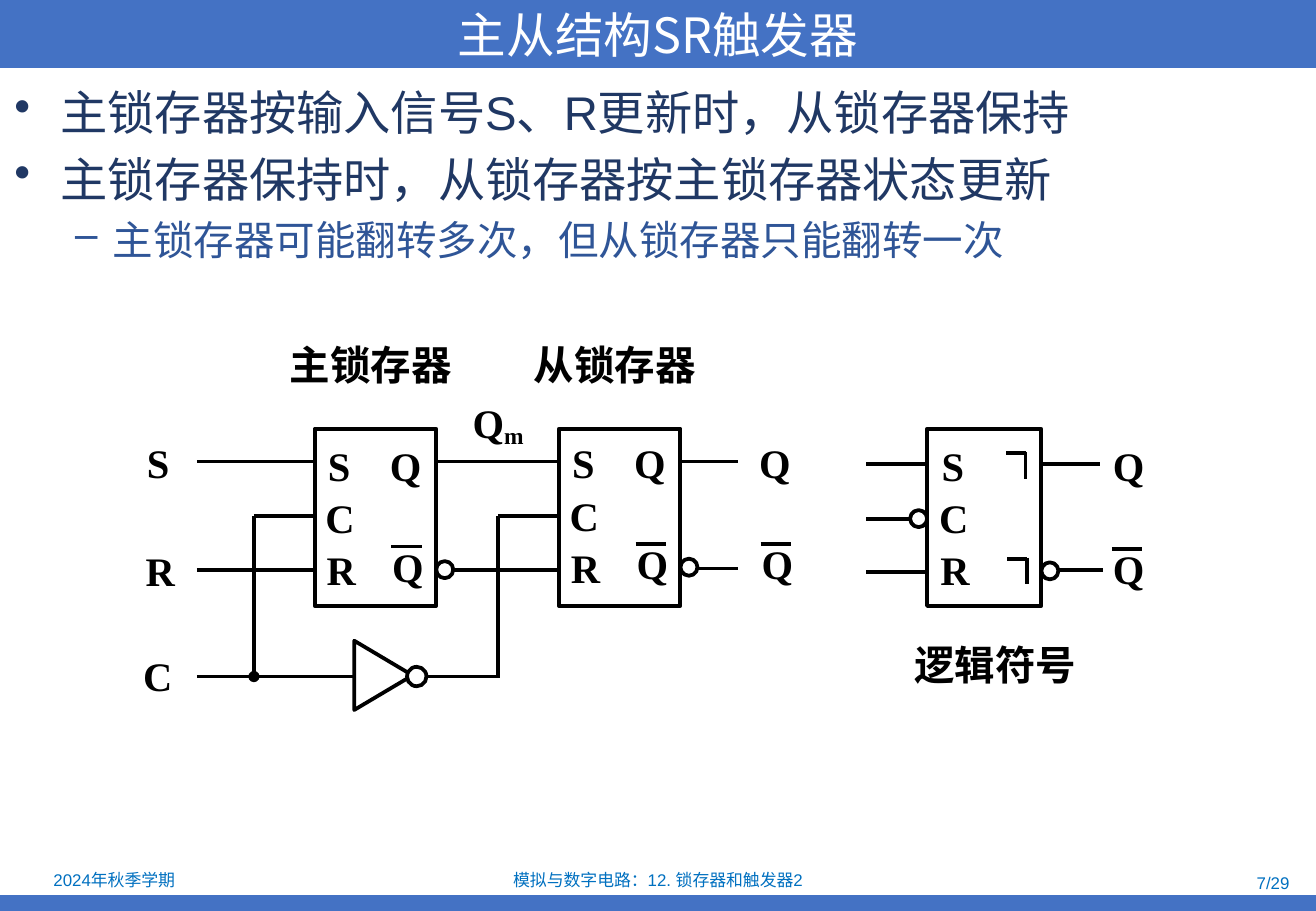
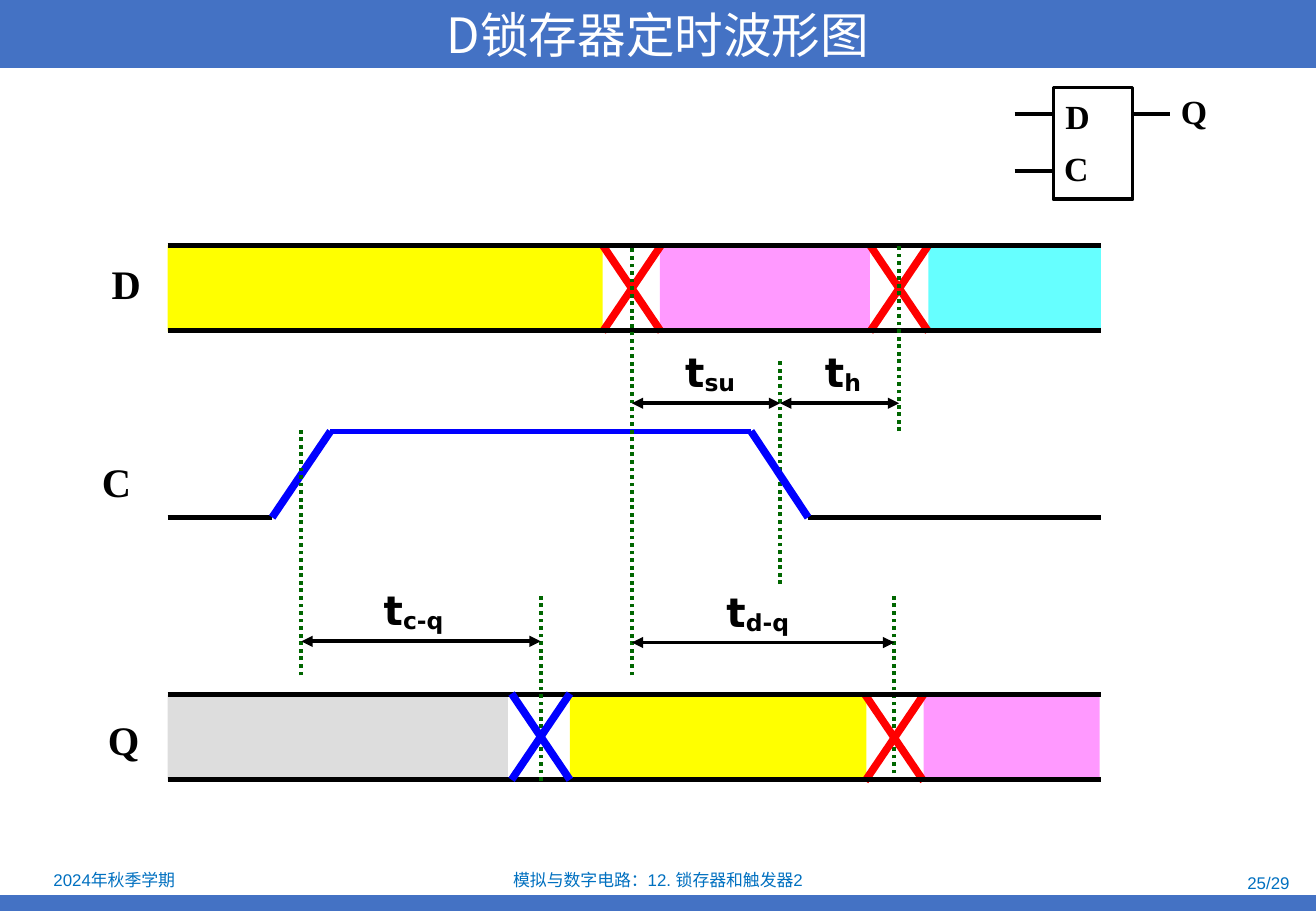
from lxml import etree
from pptx import Presentation
from pptx.dml.color import RGBColor
from pptx.enum import dml, shapes, text
from pptx.oxml.ns import qn
from pptx.util import Emu, Pt

SCALE = 9144  # 100 px to the inch
WIDTH, HEIGHT = 1083, 750
COLOURS = {
    "band": "4472C4", "footer": "0070C0", "white": "FFFFFF", "black": "000000",
    "point": "203864", "subpoint": "2F5597", "red": "FF0000", "blue": "0000FF",
    "guide": "006600", "yellow": "FFFF00", "pink": "FF99FF", "cyan": "66FFFF",
    "grey": "DDDDDD",
}
FORMATS = {
    "title": ("white", {"name": "Noto Sans CJK SC", "size": Pt(28.8)}),
    "footer": ("footer", {"name": "Arial", "size": Pt(10)}),
    "point": ("point", {"name": "Arial", "size": Pt(28)}),
    "subpoint": ("subpoint", {"name": "Arial", "size": Pt(24)}),
    "caption": ("black", {"name": "Arial", "size": Pt(24), "bold": True}),
    "signal": ("black", {"name": "Times New Roman", "size": Pt(24), "bold": True}),
    "pin": ("black", {"name": "Times New Roman", "size": Pt(20), "bold": True}),
    "time": ("black", {"name": "DejaVu Sans", "size": Pt(24), "bold": True}),
}
SIGNAL_WIDTHS = {"S": 39, "C": 44, "R": 44, "D": 44, "Q": 46}
LEFT, CENTER, RIGHT = text.PP_ALIGN.LEFT, text.PP_ALIGN.CENTER, text.PP_ALIGN.RIGHT
RECT, OVAL = shapes.MSO_SHAPE.RECTANGLE, shapes.MSO_SHAPE.OVAL
TRIANGLE = shapes.MSO_SHAPE.ISOSCELES_TRIANGLE


def px(*lengths):
    return [Emu(length * SCALE) for length in lengths]


def rgb(colour):
    return RGBColor.from_string(COLOURS[colour])


class Board:
    """Holds the presentation, its style and the slide being drawn."""

    def __init__(self):
        self.deck = Presentation()
        self.deck.slide_width, self.deck.slide_height = px(WIDTH, HEIGHT)

    def new_slide(self, title, number):
        self.slide = self.deck.slides.add_slide(self.deck.slide_layouts[6])
        self.shape(0, 737, WIDTH, 13, fill="band", line=None)
        self.shape(0, 0, WIDTH, 56, fill="band", line=None)
        self.text(0, 0, WIDTH, 56, title, "title", CENTER, middle=True)
        for x, y, w, h, words, align in (
                (2, 713, 184, 23, "2024年秋季学期", CENTER),
                (370, 714, 343, 21, "模拟与数字电路：12. 锁存器和触发器2", CENTER),
                (818, 716, 253, 21, number, RIGHT)):
            self.text(x, y, w, h, words, "footer", align, middle=True)

    def shape(self, x, y, w, h, kind=RECT, fill=None, line="black", turn=0):
        shape = self.slide.shapes.add_shape(kind, *px(x, y, w, h))
        shape.shadow.inherit = False
        shape.rotation = turn
        if fill:
            shape.fill.solid()
            shape.fill.fore_color.rgb = rgb(fill)
        else:
            shape.fill.background()
        if line:
            shape.line.color.rgb = rgb(line)
            shape.line.width = Pt(2.25)
        else:
            shape.line.fill.background()

    def bubble(self, x, y, size=14):
        self.shape(x, y, size, size, OVAL, "white")

    def line(self, x1, y1, x2, y2, colour="black", width=2.25, dash=None, head=None, tail=None):
        line = self.slide.shapes.add_connector(
            shapes.MSO_CONNECTOR.STRAIGHT, *px(x1, y1, x2, y2))
        line.line.color.rgb = rgb(colour)
        line.line.width = Pt(width)
        if dash:
            line.line.dash_style = dash
        properties = line._element.spPr
        outline = properties.find(qn("a:ln"))
        for tag, end in (("a:headEnd", head), ("a:tailEnd", tail)):
            if end:
                etree.SubElement(outline, qn(tag)).set("type", end)
        etree.SubElement(properties, qn("a:effectLst"))

    def frame(self, x, y, w, h, wrap=True, middle=False):
        frame = self.slide.shapes.add_textbox(*px(x, y, w, h)).text_frame
        frame.word_wrap = wrap
        if middle:
            frame.vertical_anchor = text.MSO_ANCHOR.MIDDLE
        return frame

    def run(self, paragraph, words, style):
        run = paragraph.add_run()
        run.text = words
        colour, values = FORMATS[style]
        for name, value in values.items():
            setattr(run.font, name, value)
        run.font.color.rgb = rgb(colour)
        return run

    def text(self, x, y, w, h, words, style, align=LEFT, wrap=True, middle=False, sub="", drop=0):
        """Draws one line of text, with an optional subscript lowered by drop percent."""
        paragraph = self.frame(x, y, w, h, wrap, middle).paragraphs[0]
        paragraph.alignment = align
        self.run(paragraph, words, style)
        if sub:
            lowered = self.run(paragraph, sub, style)
            lowered.font._element.set("baseline", str(-drop * 1000))

    def points(self, x, y, w, h, items):
        frame = self.frame(x, y, w, h)
        for index, (words, style) in enumerate(items):
            paragraph = frame.add_paragraph() if index else frame.paragraphs[0]
            margin, hang, mark = (81, 31, "–") if style == "subpoint" else (38, 38, "•")
            properties = paragraph._p.get_or_add_pPr()
            properties.set("marL", str(margin * SCALE))
            properties.set("indent", str(-hang * SCALE))
            etree.SubElement(properties, qn("a:buChar")).set("char", mark)
            if index:
                paragraph.space_before = Pt(5.6 if style == "point" else 4.8)
            self.run(paragraph, words, style)

    def signal(self, x, y, name, barred=False):
        self.text(x, y, SIGNAL_WIDTHS[name], 50, name, "signal", wrap=False)
        if barred:
            self.line(x + 9, y + 9, x + 34, y + 9)

    def caption(self, x, y, words):
        self.text(x, y, 156, 50, words, "caption", CENTER, wrap=False)

    def inputs(self, x, y, pitch=43):
        for row, (name, shift) in enumerate((("S", 1), ("C", -1), ("R", 0))):
            self.signal(x + shift, y + row * pitch, name)

    def latch(self, x, y):
        """Draws an SR latch whose labels start at y."""
        self.shape(x, 353, 100, 146)
        self.inputs(x, y)
        self.signal(x + 52, y, "Q")
        self.signal(x + 54, y + 83, "Q", barred=True)
        self.bubble(x + 100, y + 104)

    def cross(self, x, y, colour):
        for start, end in ((y, y + 71), (y + 71, y)):
            self.line(x, start, x + 48, end, colour, 4.5)

    def bus(self, y, fills, crosses):
        """Draws a data waveform: filled stretches, crossovers and two rails."""
        for left, right, colour in fills:
            self.shape(left, y, right - left, 71, fill=colour, line=None)
        for x in crosses:
            self.cross(x, y, "red")
        for rail in (y, y + 70):
            self.line(138, rail, 906, rail, width=3)

    def guides(self, *ends):
        for x, top, bottom in ends:
            self.line(x, bottom, x, top, "guide", dash=dml.MSO_LINE.ROUND_DOT)

    def interval(self, left, right, y, label_x, label_width, sub):
        self.line(left, y, right, y, head="triangle", tail="triangle")
        self.text(label_x, y - 51, label_width, 50, "t", "time", wrap=False, sub=sub, drop=10)


def master_slave(board):
    board.new_slide("主从结构SR触发器", "7/29")
    board.points(2, 64, 1081, 200, [
        ("主锁存器按输入信号S、R更新时，从锁存器保持", "point"),
        ("主锁存器保持时，从锁存器按主锁存器状态更新", "point"),
        ("主锁存器可能翻转多次，但从锁存器只能翻转一次", "subpoint")])

    for wire in ((162, 380, 259, 380), (162, 469, 259, 469), (209, 425, 259, 425),
                 (359, 380, 460, 380), (368, 469, 460, 469), (410, 425, 460, 425),
                 (560, 380, 607, 380), (568, 468, 607, 468),
                 (162, 557, 410, 557), (410, 558, 410, 425)):
        board.line(*wire)
    board.line(209, 557, 209, 425, head="oval")
    board.latch(259, 358)
    board.latch(460, 356)
    board.shape(287, 532, 57, 48, TRIANGLE, "white", turn=90)
    board.bubble(335, 549, 16)

    for x, y, name in ((111, 356, "S"), (110, 445, "R"), (108, 531, "C"), (615, 356, "Q")):
        board.signal(x, y, name)
    board.signal(617, 439, "Q", barred=True)
    board.text(379, 323, 65, 50, "Q", "signal", wrap=False, sub="m", drop=15)

    board.shape(763, 353, 94, 146)
    for y in (382, 427, 471):
        board.line(713, y, 763, y)
    board.line(858, 382, 905, 382)
    board.line(861, 469, 908, 469)
    board.inputs(764, 358)
    board.signal(906, 358, "Q")
    board.signal(906, 443, "Q", barred=True)
    board.bubble(857, 463)
    board.bubble(749, 420)
    for x, y in ((844, 373), (845, 460)):
        board.line(x - 16, y, x, y)
        board.line(x, y - 1, x, y + 21)

    for x, y, words in ((227, 275, "主锁存器"), (428, 275, "从锁存器"), (741, 522, "逻辑符号")):
        board.caption(x, y, words)


def d_latch_timing(board):
    board.new_slide("D锁存器定时波形图", "25/29")
    board.bus(202, [(138, 496, "yellow"), (543, 716, "pink"), (764, 906, "cyan")], (496, 716))
    for left, right, y, colour in ((138, 224, 426, "black"), (272, 618, 355, "blue"),
                                   (665, 906, 426, "black")):
        board.line(left, y, right, y, colour, 3)
    board.guides((520, 202, 556), (740, 202, 355), (642, 296, 481), (736, 489, 643))
    board.line(618, 355, 665, 426, "blue", 4.5)
    board.line(224, 426, 272, 355, "blue", 4.5)
    board.bus(572, [(138, 418, "grey"), (469, 713, "yellow"), (760, 905, "pink")], (712,))
    board.guides((248, 351, 556), (445, 489, 643))
    board.cross(421, 571, "blue")

    for interval in ((520, 642, 332, 554, 64, "su"), (642, 740, 332, 669, 51, "h"),
                     (520, 736, 529, 588, 77, "d-q"), (248, 445, 528, 306, 74, "c-q")):
        board.interval(*interval)
    for x, y, name in ((82, 208, "D"), (74, 371, "C"), (79, 584, "Q")):
        board.signal(x, y, name)

    board.shape(867, 72, 65, 92)
    for left, right, y in ((835, 867, 94), (835, 867, 141), (932, 963, 94)):
        board.line(left, y, right, y)
    for x, y, w, name in ((867, 74, 40, "D"), (866, 117, 40, "C"), (962, 70, 42, "Q")):
        board.text(x, y, w, 43, name, "pin", wrap=False)


def main():
    board = Board()
    master_slave(board)
    d_latch_timing(board)
    board.deck.save("out.pptx")


if __name__ == "__main__":
    main()
